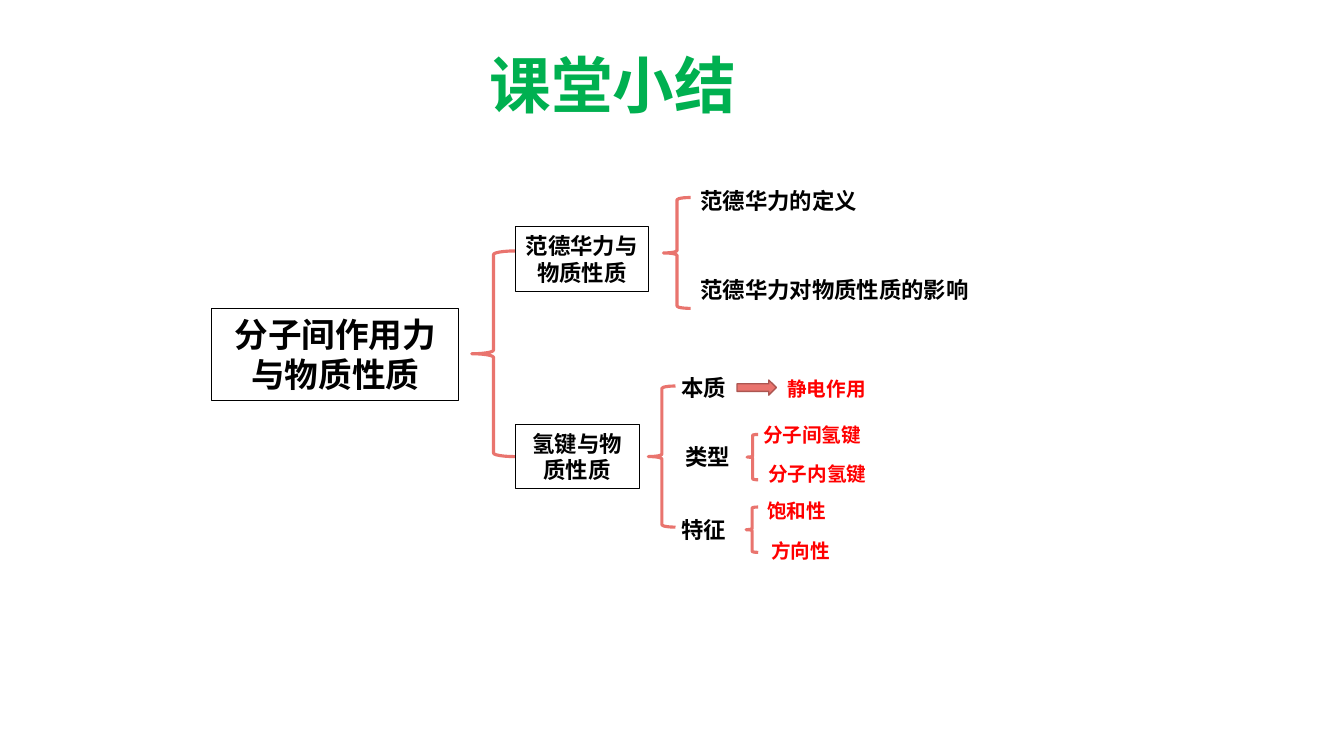
from pptx import Presentation
from pptx.dml.color import RGBColor
from pptx.enum.shapes import MSO_SHAPE
from pptx.enum.text import MSO_ANCHOR, MSO_AUTO_SIZE, PP_ALIGN
from pptx.util import Inches, Pt

RECTANGLE, LEFT_BRACE, RIGHT_ARROW = (
    MSO_SHAPE.RECTANGLE, MSO_SHAPE.LEFT_BRACE, MSO_SHAPE.RIGHT_ARROW)
MIDDLE = MSO_ANCHOR.MIDDLE
FIT_SHAPE = MSO_AUTO_SIZE.SHAPE_TO_FIT_TEXT
LEFT, CENTER = PP_ALIGN.LEFT, PP_ALIGN.CENTER

GREEN = RGBColor(0x00, 0xB0, 0x50)
BLACK = RGBColor(0x00, 0x00, 0x00)
RED = RGBColor(0xFF, 0x00, 0x00)
CORAL = RGBColor(0xE9, 0x74, 0x6E)
DARK_CORAL = RGBColor(0xAC, 0x56, 0x51)

TITLE = {"size": Pt(44), "bold": True, "name": "Calibri"}
ROOT = {**TITLE, "size": Pt(24)}
TOPIC = {**TITLE, "size": Pt(16)}
DETAIL = {**TITLE, "size": Pt(14)}


def write(holder, words, style, color, align, wrap):
    frame = holder.text_frame
    for name, value in {"word_wrap": wrap, "auto_size": FIT_SHAPE}.items():
        setattr(frame, name, value)
    paragraph = frame.paragraphs[0]
    paragraph.alignment = align
    run = paragraph.add_run()
    run.text = words
    for name, value in style.items():
        setattr(run.font, name, value)
    run.font.color.rgb = color


def add_label(slide, box, words, style, color=BLACK, align=LEFT):
    label = slide.shapes.add_textbox(*map(Inches, box))
    write(label, words, style, color, align, False)


def add_outline(slide, preset, box, color, weight, fill=None):
    shape = slide.shapes.add_shape(preset, *map(Inches, box))
    shape.shadow.inherit = False
    if fill is None:
        shape.fill.background()
    else:
        shape.fill.solid()
        shape.fill.fore_color.rgb = fill
    shape.line.color.rgb = color
    shape.line.width = Pt(weight)
    return shape


def add_node(slide, box, words, style):
    """Draw a framed heading of the tree."""
    node = add_outline(slide, RECTANGLE, box, BLACK, 0.75)
    node.text_frame.vertical_anchor = MIDDLE
    write(node, words, style, BLACK, CENTER, True)


def add_brace(slide, box):
    add_outline(slide, LEFT_BRACE, box, CORAL, 2.25)


def add_root(slide, left, top):
    add_node(slide, (left, top, 2.45, 0.91), "分子间作用力与物质性质", ROOT)
    add_brace(slide, (left + 2.58, top - 0.57, 0.43, 2.04))


def add_van_der_waals_branch(slide, left, top):
    add_node(slide, (left, top, 1.32, 0.64), "范德华力与物质性质", TOPIC)
    add_brace(slide, (left + 1.47, top - 0.29, 0.27, 1.1))
    topics = (("范德华力的定义", 1.78), ("范德华力对物质性质的影响", 2.89))
    for row, (words, width) in enumerate(topics):
        box = (left + 1.74, top - 0.44 + 0.88 * row, width, 0.37)
        add_label(slide, box, words, TOPIC)


def add_pair(slide, left, top, brace_width, width, details):
    """Draw a small brace with its two details, each (words, x, y) from the brace."""
    add_brace(slide, (left, top, brace_width, 0.45))
    for words, x, y in details:
        add_label(slide, (left + x, top + y, width, 0.34), words, DETAIL, RED)


def add_hydrogen_bond_branch(slide, left, top):
    add_node(slide, (left, top, 1.23, 0.64), "氢键与物质性质", TOPIC)
    add_brace(slide, (left + 1.32, top - 0.38, 0.27, 1.4))
    for words, x, y in (("本质", 1.55, -0.55), ("类型", 1.59, 0.14),
                        ("特征", 1.55, 0.86)):
        add_label(slide, (left + x, top + y, 0.67, 0.37), words, TOPIC)

    add_outline(slide, RIGHT_ARROW, (left + 2.2, top - 0.44, 0.39, 0.15),
                DARK_CORAL, 1, CORAL)
    add_label(slide, (left + 2.6, top - 0.52, 1.02, 0.34),
              "静电作用", DETAIL, RED)
    add_pair(slide, left + 2.3, top + 0.1, 0.11, 1.22,
             (("分子间氢键", 0.06, -0.16), ("分子内氢键", 0.11, 0.22)))
    add_pair(slide, left + 2.29, top + 0.82, 0.12, 0.83,
             (("饱和性", 0.11, -0.13), ("方向性", 0.15, 0.27)))


def main():
    deck = Presentation()
    deck.slide_width, deck.slide_height = Inches(13.33), Inches(7.5)
    slide = deck.slides.add_slide(deck.slide_layouts[6])
    add_label(slide, (4.73, 0.42, 2.7, 0.84), "课堂小结", TITLE, GREEN, CENTER)
    add_root(slide, 2.1, 3.06)
    add_van_der_waals_branch(slide, 5.11, 2.25)
    add_hydrogen_bond_branch(slide, 5.11, 4.21)
    deck.save("out.pptx")


if __name__ == "__main__":
    main()
